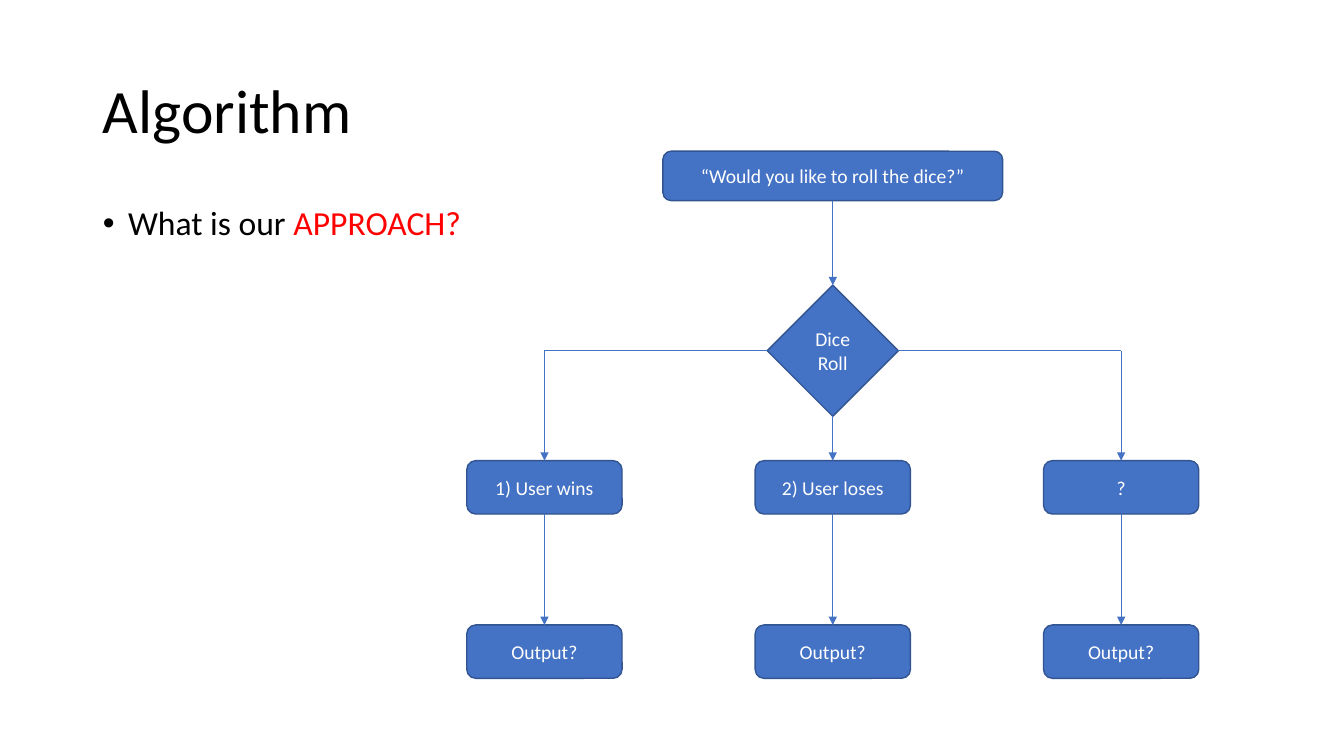
from lxml.etree import SubElement
from pptx import Presentation
from pptx.dml.color import RGBColor
from pptx.enum.shapes import MSO_CONNECTOR, MSO_SHAPE as SHAPE
from pptx.enum.text import MSO_ANCHOR as ANCHOR, PP_ALIGN as ALIGN
from pptx.oxml.ns import qn
from pptx.util import Inches, Pt

BLACK = RGBColor(0x00, 0x00, 0x00)
WHITE = RGBColor(0xFF, 0xFF, 0xFF)
RED = RGBColor(0xFF, 0x00, 0x00)
BLUE = RGBColor(0x44, 0x72, 0xC4)
NAVY = RGBColor(0x32, 0x54, 0x91)
FONT = "Calibri"

CASES = ["1) User wins", "2) User loses", "?"]
TITLE = {"alignment": ALIGN.LEFT, "line_spacing": 0.9}
BULLET = {"alignment": ALIGN.LEFT, "line_spacing": 0.9, "space_before": Pt(10)}
LABEL = {"alignment": ALIGN.CENTER}


def set_all(item, form):
    for name, value in form.items():
        setattr(item, name, value)


def place(shape, box):
    names = ("left", "top", "width", "height")
    set_all(shape, dict(zip(names, map(Inches, box))))


def write(para, form, size, *parts):
    """Fill a paragraph with (text, colour) runs."""
    set_all(para, form)
    for text, color in parts:
        run = para.add_run()
        run.text = text
        set_all(run.font, {"name": FONT, "size": Pt(size)})
        run.font.color.rgb = color


def add_title(slide, box):
    title = slide.shapes.title
    place(title, box)
    title.text_frame.vertical_anchor = ANCHOR.MIDDLE
    write(title.text_frame.paragraphs[0], TITLE, 44, ("Algorithm", BLACK))


def add_body(slide, box):
    body = slide.placeholders[1]
    place(body, box)
    para = body.text_frame.paragraphs[0]
    write(para, BULLET, 24, ("What is our ", BLACK), ("APPROACH?", RED))
    props = para._p.get_or_add_pPr()
    props.set("marL", str(Inches(0.25)))
    props.set("indent", str(Inches(-0.25)))
    SubElement(props, qn("a:buFont"), typeface="Arial")
    SubElement(props, qn("a:buChar"), char="•")


def add_node(slide, text, mid, top, width, height, kind=SHAPE.ROUNDED_RECTANGLE):
    """Draw a labelled step centred on mid."""
    node = slide.shapes.add_shape(kind, 0, 0, 0, 0)
    place(node, (mid - width / 2, top, width, height))
    node.shadow.inherit = False
    node.fill.solid()
    node.fill.fore_color.rgb = BLUE
    node.line.color.rgb = NAVY
    node.line.width = Pt(1)
    set_all(node.text_frame, {"word_wrap": True, "vertical_anchor": ANCHOR.MIDDLE})
    write(node.text_frame.paragraphs[0], LABEL, 14, (text, WHITE))


def add_line(slide, start, end, arrow=True):
    ends = map(Inches, (*start, *end))
    link = slide.shapes.add_connector(MSO_CONNECTOR.STRAIGHT, *ends)
    link.line.color.rgb = BLUE
    link.line.width = Pt(0.5)
    if arrow:
        SubElement(link.line._get_or_add_ln(), qn("a:tailEnd"), type="triangle")
    SubElement(link._element.spPr, qn("a:effectLst"))


def add_chart(slide, box):
    """Draw the flow: question, dice roll, then a column for each case."""
    left, top, width, height = box
    wide, high, ask, dice = 1.54, 0.53, 0.49, 1.3
    mid = left + width / 2
    step = (width - wide) / 2
    roll = top + 1.33
    level = roll + dice / 2
    row = top + 3.07
    last = top + height - high

    add_node(slide, "“Would you like to roll the dice?”", mid, top, 3.37, ask)
    add_node(slide, "Dice Roll", mid, roll, dice, dice, SHAPE.DIAMOND)
    add_line(slide, (mid, top + ask), (mid, roll))

    for side, case in zip((-1, 0, 1), CASES):
        col = mid + side * step
        add_node(slide, case, col, row, wide, high)
        add_node(slide, "Output?", col, last, wide, high)
        add_line(slide, (col, row + high), (col, last))
        if side:
            add_line(slide, (mid + side * dice / 2, level), (col, level), arrow=False)
        add_line(slide, (col, level if side else roll + dice), (col, row))


def main():
    deck = Presentation()
    set_all(deck, {"slide_width": Inches(13.33), "slide_height": Inches(7.5)})
    slide = deck.slides.add_slide(deck.slide_layouts[1])
    add_title(slide, (0.92, 0.4, 11.5, 1.45))
    add_body(slide, (0.92, 2, 11.5, 4.76))
    add_chart(slide, (4.63, 1.5, 7.26, 5.23))
    deck.save("out.pptx")


if __name__ == "__main__":
    main()
